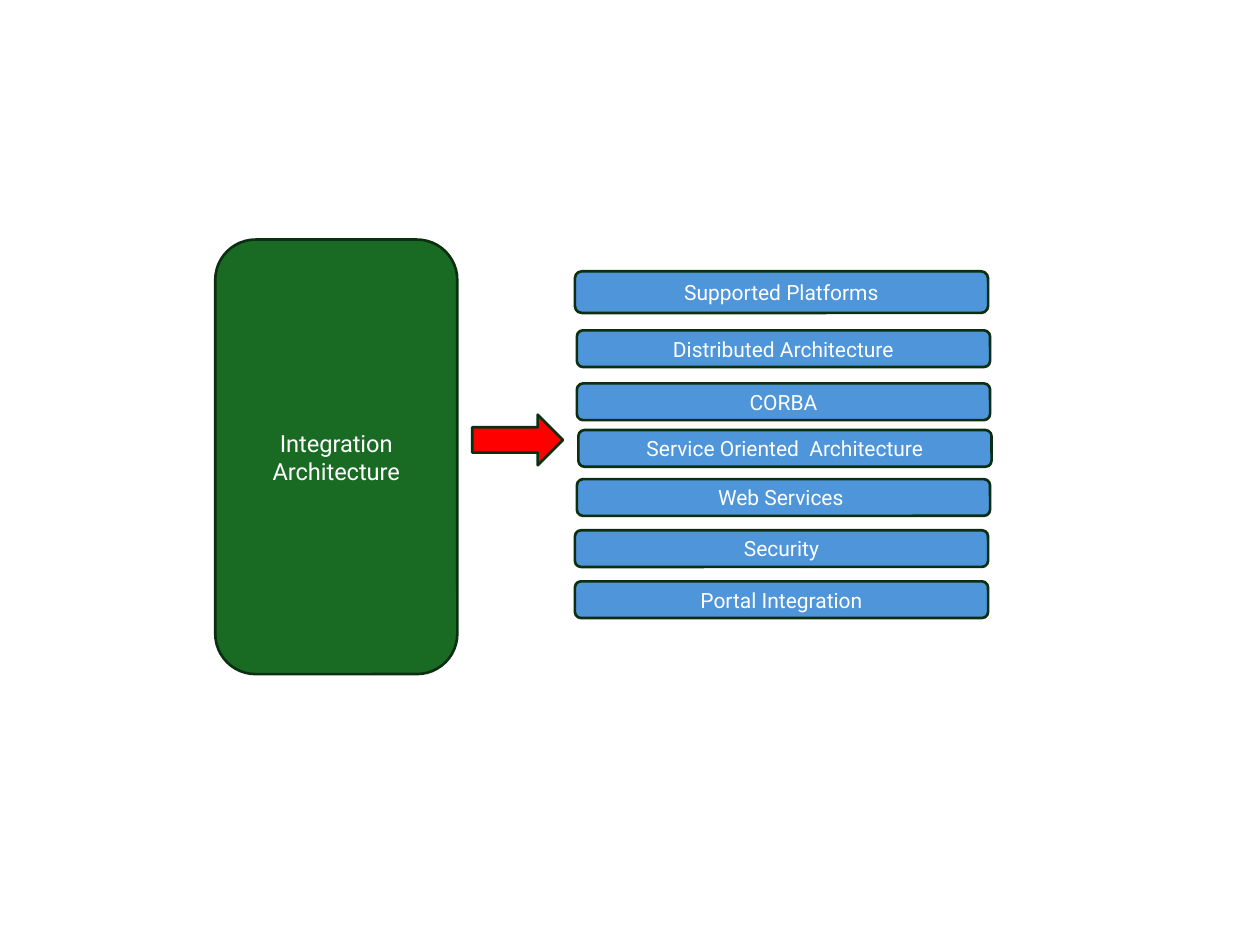
from pptx import Presentation
from pptx.dml.color import RGBColor
from pptx.enum.shapes import MSO_SHAPE as Shape
from pptx.enum.text import MSO_ANCHOR as Anchor, PP_ALIGN as Align
from pptx.util import Cm, Pt

COLORS = {
    "panel": "196B24",
    "topic": "4E95D9",
    "arrow": "FF0000",
    "outline": "0B2F10",
    "text": "FFFFFF",
}

TOPICS = [
    ("Supported Platforms", 0, 0, 0.84),
    ("Distributed Architecture", 0.04, 1.19, 0.74),
    ("CORBA", 0.04, 2.26, 0.74),
    ("Service Oriented  Architecture", 0.07, 3.2, 0.74),
    ("Web Services ", 0.04, 4.19, 0.74),
    ("Security", 0, 5.22, 0.74),
    ("Portal Integration", 0, 6.25, 0.74),
]


def add_block(slide, kind, box, fill, text="", size=12):
    block = slide.shapes.add_shape(kind, *map(Cm, box))
    block.shadow.inherit = False
    block.fill.solid()
    block.fill.fore_color.rgb = RGBColor.from_string(COLORS[fill])
    block.line.color.rgb = RGBColor.from_string(COLORS["outline"])
    block.line.width = Pt(1.5)
    if text:
        frame = block.text_frame
        frame.text = text
        frame.word_wrap = True
        frame.vertical_anchor = Anchor.MIDDLE
        label = frame.paragraphs[0]
        label.alignment = Align.CENTER
        font_format = {"name": "Roboto", "size": Pt(size), "bold": False}
        for attribute, value in font_format.items():
            setattr(label.font, attribute, value)
        label.font.color.rgb = RGBColor.from_string(COLORS["text"])
    return block


def add_architecture(slide, box):
    add_block(slide, Shape.ROUNDED_RECTANGLE, box, "panel",
              "Integration Architecture", 13.5)


def add_topics(slide, left, top, width):
    for topic, shift, drop, height in TOPICS:
        box = (left + shift, top + drop, width, height)
        add_block(slide, Shape.ROUNDED_RECTANGLE, box, "topic", topic)


def add_flow_arrow(slide, box):
    add_block(slide, Shape.RIGHT_ARROW, box, "arrow")


def main():
    deck = Presentation()
    deck.slide_width, deck.slide_height = Cm(25.4), Cm(19.05)
    slide = deck.slides.add_slide(deck.slide_layouts[6])
    add_architecture(slide, (4.34, 4.83, 4.88, 8.76))
    add_flow_arrow(slide, (9.52, 8.36, 1.83, 1.02))
    add_topics(slide, 11.59, 5.47, 8.33)
    deck.save("out.pptx")


if __name__ == "__main__":
    main()
